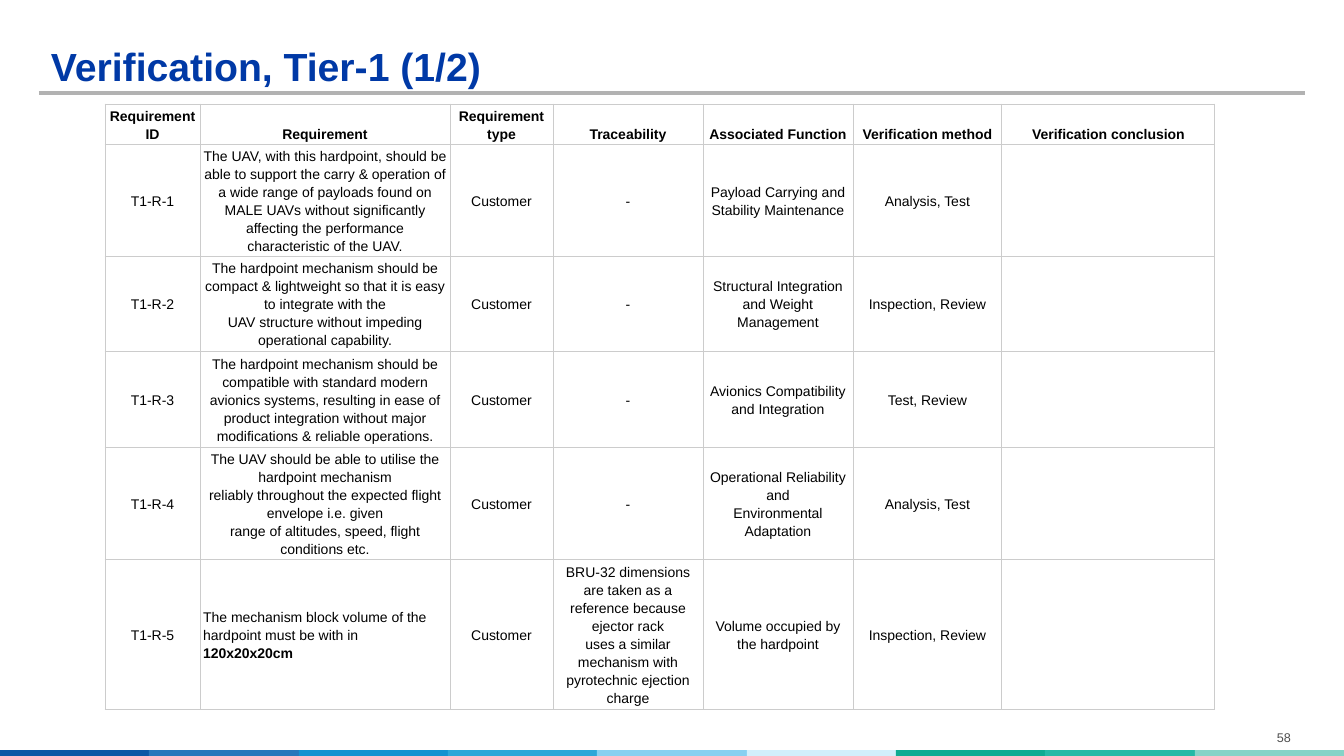
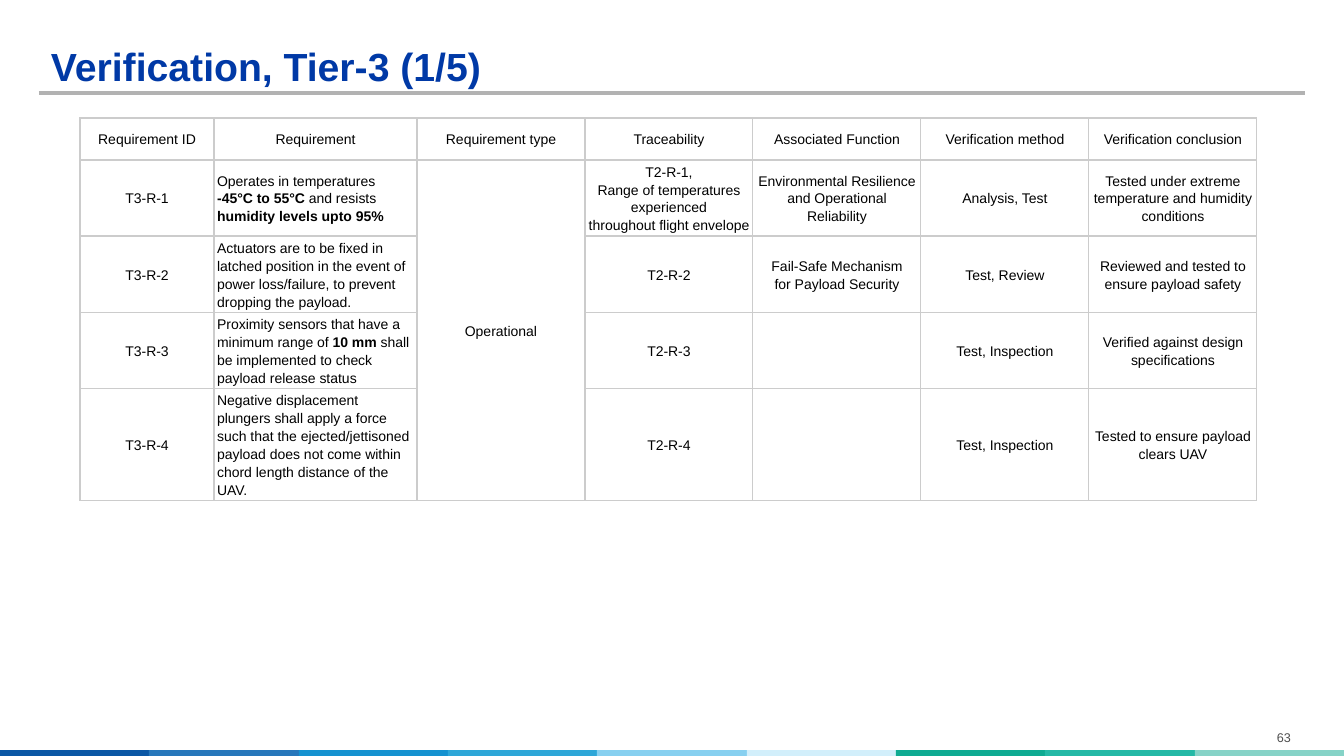
from dataclasses import dataclass

from lxml import etree
from pptx import Presentation
from pptx.dml.color import RGBColor
from pptx.enum.shapes import MSO_CONNECTOR, MSO_SHAPE
from pptx.enum.text import MSO_ANCHOR, PP_ALIGN
from pptx.oxml.ns import qn
from pptx.util import Emu, Pt

RECT = MSO_SHAPE.RECTANGLE
STRAIGHT = MSO_CONNECTOR.STRAIGHT
TOP, MIDDLE, BOTTOM = MSO_ANCHOR.TOP, MSO_ANCHOR.MIDDLE, MSO_ANCHOR.BOTTOM
LEFT, CENTER = PP_ALIGN.LEFT, PP_ALIGN.CENTER

EMU_PER_PX = 914400 / 100.8
SLIDE_W, SLIDE_H = 1344, 756
BAND_TOP = 750
CELL_LINE = 18
CELL_MARGINS = Pt(2.25), Pt(1.5)
BLANK_LAYOUT = 6


@dataclass(frozen=True)
class Theme:
    font: str = "Arial"
    title: str = "0039A6"
    text: str = "000000"
    page: str = "4F4F4F"
    rule: str = "B2B2B2"
    border: str = "CCCCCC"
    band: tuple = ("0B57A5", "2777BB", "1592D0", "2EA7D8", "87D0F0",
                   "D2EFFB", "0EAB92", "24B9A6", "86D3C7")
    title_size: int = 28
    cell_size: int = 10
    page_size: int = 9
    rule_width: float = 2.25


THEME = Theme()

HEADER = ("Requirement ID", "Requirement", "Requirement type", "Traceability",
          "Associated Function", "Verification method", "Verification conclusion")
REQUIREMENT, TYPE = 1, 2

TIER_1 = [
    ("The UAV, with this hardpoint, should be able to support the carry & operation of "
     "a wide range of payloads found on MALE UAVs without significantly affecting the "
     "performance characteristic of the UAV.",
     "-", "Payload Carrying and\nStability Maintenance", "Analysis, Test", ""),
    ("The hardpoint mechanism should be compact & lightweight so that it is easy to "
     "integrate with the\nUAV structure without impeding operational capability.",
     "-", "Structural Integration\nand Weight Management", "Inspection, Review", ""),
    ("The hardpoint mechanism should be compatible with standard modern avionics "
     "systems, resulting in ease of\nproduct integration without major modifications "
     "& reliable operations.",
     "-", "Avionics Compatibility\nand Integration", "Test, Review", ""),
    ("The UAV should be able to utilise the hardpoint mechanism\nreliably throughout "
     "the expected flight envelope i.e. given\nrange of altitudes, speed, flight "
     "conditions etc.",
     "-", "Operational Reliability and\nEnvironmental Adaptation", "Analysis, Test", ""),
    ("The mechanism block volume of the hardpoint must be with in **120x20x20cm**",
     "BRU-32 dimensions are taken as a\nreference because ejector rack\n"
     "uses a similar mechanism with\npyrotechnic ejection charge",
     "Volume occupied by the hardpoint", "Inspection, Review", ""),
]

TIER_3 = [
    ("Operates in temperatures **-45°C to 55°C **and resists **humidity levels upto 95%**",
     "T2-R-1,\nRange of temperatures experienced\nthroughout flight envelope",
     "Environmental Resilience\nand Operational Reliability", "Analysis, Test",
     "Tested under extreme\ntemperature and humidity\nconditions"),
    ("Actuators are to be fixed in latched position in the event of power loss/failure, "
     "to prevent dropping the payload.",
     "T2-R-2", "Fail-Safe Mechanism\nfor Payload Security", "Test, Review",
     "Reviewed and tested to\nensure payload safety"),
    ("Proximity sensors that have a minimum range of **10 mm **shall be implemented "
     "to check payload release status",
     "T2-R-3", "", "Test, Inspection", "Verified against design\nspecifications"),
    ("Negative displacement plungers shall apply a force such that the "
     "ejected/jettisoned payload does not come within\nchord length distance of the UAV.",
     "T2-R-4", "", "Test, Inspection", "Tested to ensure payload\nclears UAV"),
]


def px(n):
    return Emu(round(n * EMU_PER_PX))


def rgb(value):
    return RGBColor.from_string(value)


def write_text(tf, text, size, color, bold=False, align=LEFT, spacing=1.0):
    for i, line in enumerate(text.split("\n")):
        p = tf.add_paragraph() if i else tf.paragraphs[0]
        p.alignment = align
        p.line_spacing = spacing
        for j, part in enumerate(line.split("**")):
            if part:
                r = p.add_run()
                r.text = part
                r.font.name = THEME.font
                r.font.size = Pt(size)
                r.font.bold = bold or j % 2 == 1
                r.font.color.rgb = rgb(color)


def set_margins(target, x, y):
    target.margin_left = target.margin_right = x
    target.margin_top = target.margin_bottom = y


def add_text(s, box, text, size, color, margins=(0, 0), anchor=TOP, **fmt):
    tf = s.shapes.add_textbox(*map(px, box)).text_frame
    tf.word_wrap = True
    tf.vertical_anchor = anchor
    set_margins(tf, *map(px, margins))
    write_text(tf, text, size, color, **fmt)


def add_band(s):
    count = len(THEME.band)
    edges = [round(i * SLIDE_W / count) for i in range(count + 1)]
    for color, left, right in zip(THEME.band, edges, edges[1:]):
        sp = s.shapes.add_shape(RECT, px(left), px(BAND_TOP), px(right - left),
                                px(SLIDE_H - BAND_TOP))
        sp.shadow.inherit = False
        sp.fill.solid()
        sp.fill.fore_color.rgb = rgb(color)
        sp.line.fill.background()


def add_rule(s, left, right, y):
    line = s.shapes.add_connector(STRAIGHT, px(left), px(y), px(right), px(y))
    line.line.color.rgb = rgb(THEME.rule)
    line.line.width = Pt(THEME.rule_width)
    etree.SubElement(line._element.spPr, qn("a:effectLst"))


def add_slide(prs, title, page):
    s = prs.slides.add_slide(prs.slide_layouts[BLANK_LAYOUT])
    add_band(s)
    add_rule(s, 39, 1305, 93)
    add_text(s, (51, 20, 1243, 70), title, THEME.title_size, THEME.title,
             anchor=BOTTOM, bold=True, spacing=0.9)
    add_text(s, (1242, 725, 84, 26), str(page), THEME.page_size, THEME.page,
             margins=(10, 5), align=CENTER)
    return s


def set_borders(cell, width):
    tcPr = cell._tc.get_or_add_tcPr()
    for i, side in enumerate(("lnL", "lnR", "lnT", "lnB")):
        ln = etree.Element(qn(f"a:{side}"), w=str(Pt(width)))
        fill = etree.SubElement(ln, qn("a:solidFill"))
        etree.SubElement(fill, qn("a:srgbClr"), val=THEME.border)
        tcPr.insert(i, ln)


def requirement_rows(tier, kind, entries):
    return [HEADER] + [(f"T{tier}-R-{n}", need, kind, *rest)
                       for n, (need, *rest) in enumerate(entries, 1)]


def add_requirements(s, left, top, widths, heights, rows, left_rows, border,
                     header_bold=False, header_anchor=MIDDLE, merge_type=False):
    frame = s.shapes.add_table(len(rows), len(widths), px(left), px(top),
                               px(sum(widths)), px(sum(heights)))
    table = frame.table
    table.first_row = table.horz_banding = False
    for column, width in zip(table.columns, widths):
        column.width = px(width)
    for row, height in zip(table.rows, heights):
        row.height = px(height)
    if merge_type:
        table.cell(1, TYPE).merge(table.cell(len(rows) - 1, TYPE))
    for i, row in enumerate(rows):
        for j, text in enumerate(row):
            cell = table.cell(i, j)
            cell.fill.background()
            set_borders(cell, border)
            set_margins(cell, *CELL_MARGINS)
            cell.vertical_anchor = MIDDLE if i else header_anchor
            write_text(cell.text_frame, "" if cell.is_spanned else text,
                       THEME.cell_size, THEME.text, bold=header_bold and i == 0,
                       align=LEFT if j == REQUIREMENT and i in left_rows else CENTER,
                       spacing=px(CELL_LINE))


def main():
    prs = Presentation()
    prs.slide_width, prs.slide_height = px(SLIDE_W), px(SLIDE_H)

    s = add_slide(prs, "Verification, Tier-1 (1/2)", 58)
    add_requirements(s, 105, 104, [95, 250, 103, 150, 150, 149, 213],
                     [40, 112, 95, 96, 112, 150],
                     requirement_rows(1, "Customer", TIER_1), left_rows=[5],
                     border=0.6, header_bold=True, header_anchor=BOTTOM)

    s = add_slide(prs, "Verification, Tier-3 (1/5)", 63)
    add_requirements(s, 80, 118, [134, 203] + [168] * 5, [42, 76, 76, 76, 112],
                     requirement_rows(3, "Operational", TIER_3),
                     left_rows=range(1, 5), border=0.94, merge_type=True)

    prs.save("out.pptx")


if __name__ == "__main__":
    main()
